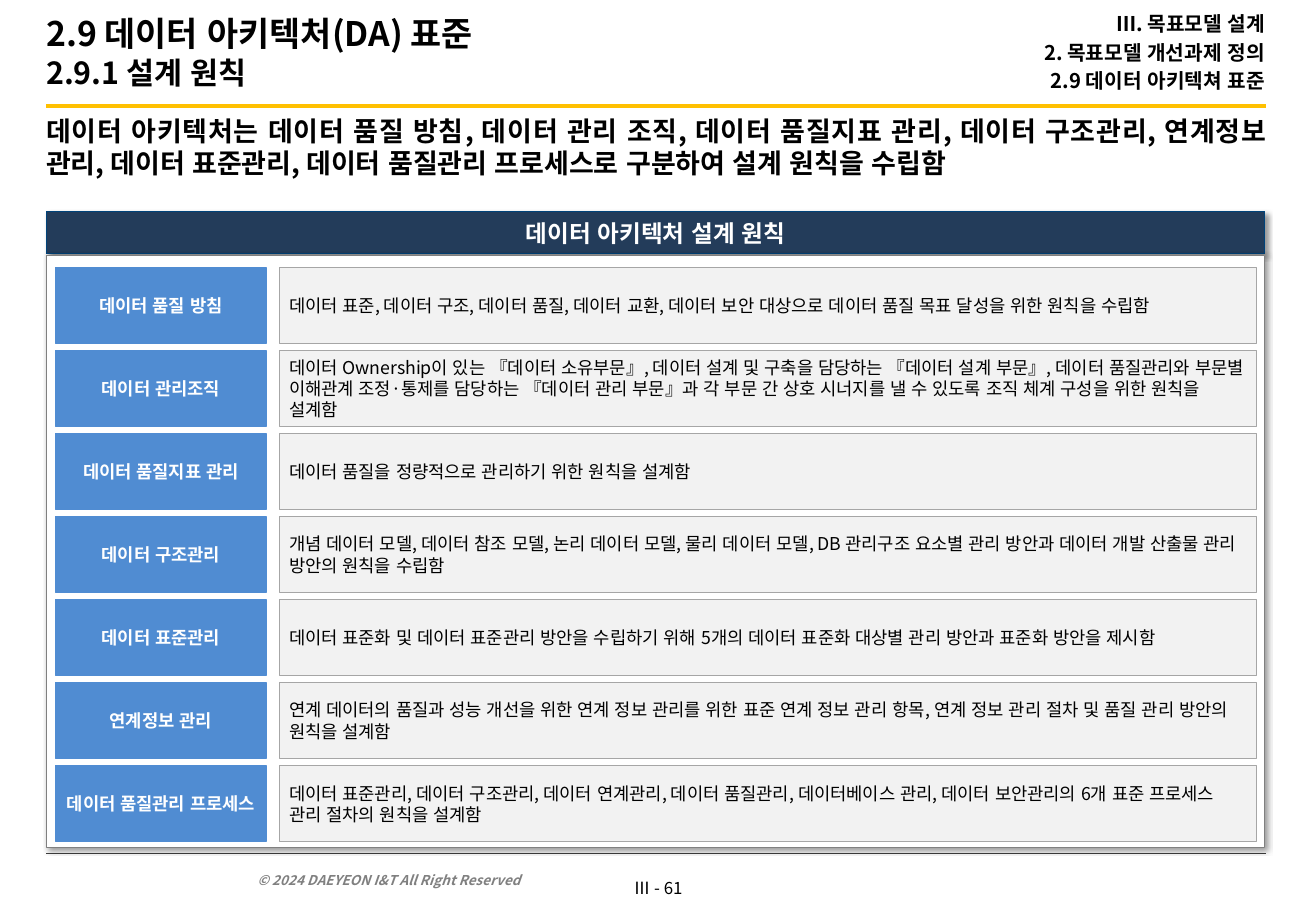
"""Build the slide on data architecture design principles."""
import copy

import lxml.etree
import pptx
import pptx.dml.color
import pptx.enum.lang
import pptx.enum.shapes
import pptx.enum.text
import pptx.oxml.ns
import pptx.util

RGB = pptx.dml.color.RGBColor
ALIGN = pptx.enum.text.PP_ALIGN
ANCHOR = pptx.enum.text.MSO_ANCHOR
Inches = pptx.util.Inches
Pt = pptx.util.Pt
qn = pptx.oxml.ns.qn

BLACK = RGB(0x00, 0x00, 0x00)
WHITE = RGB(0xFF, 0xFF, 0xFF)
NAVY = RGB(0x23, 0x3C, 0x5A)
NAVY_EDGE = RGB(0x00, 0x43, 0x7A)
BLUE = RGB(0x50, 0x8C, 0xD2)
PALE = RGB(0xF2, 0xF2, 0xF2)
SILVER = RGB(0xA6, 0xA6, 0xA6)
GRAY = RGB(0x80, 0x80, 0x80)
CHARCOAL = RGB(0x40, 0x40, 0x40)
AMBER = RGB(0xFF, 0xC0, 0x00)

FONT = "Noto Sans CJK KR"
WIDTH, HEIGHT = 10.83, 7.5
LEFT, RIGHT = 0.38, 10.42
SPAN = RIGHT - LEFT
PANEL_WIDTH = 10.03
ROW_TOP, ROW_PITCH, ROW_HEIGHT = 2.2, 0.6835, 0.63
NAME_COLUMN = (0.46, 1.73)
RULE_COLUMN = (2.3, 8.04)
CELL_INSETS = (0.08, 0.04, 0.08, 0.04)

BREADCRUMB = ["Ⅲ. 목표모델 설계", "2. 목표모델 개선과제 정의", "2.9 데이터 아키텍쳐 표준"]
SUMMARY = (
    "데이터 아키텍처는 데이터 품질 방침, 데이터 관리 조직, 데이터 품질지표 관리, "
    "데이터 구조관리, 연계정보 관리, 데이터 표준관리, 데이터 품질관리 프로세스로 "
    "구분하여 설계 원칙을 수립함"
)
PRINCIPLES = [
    ("데이터 품질 방침",
     "데이터 표준, 데이터 구조, 데이터 품질, 데이터 교환, 데이터 보안 대상으로 "
     "데이터 품질 목표 달성을 위한 원칙을 수립함"),
    ("데이터 관리조직",
     "데이터 Ownership이 있는 『데이터 소유부문』, 데이터 설계 및 구축을 담당하는 "
     "『데이터 설계 부문』, 데이터 품질관리와 부문별 이해관계 조정·통제를 담당하는 "
     "『데이터 관리 부문』과 각 부문 간 상호 시너지를 낼 수 있도록 조직 체계 구성을 "
     "위한 원칙을 설계함"),
    ("데이터 품질지표 관리",
     "데이터 품질을 정량적으로 관리하기 위한 원칙을 설계함"),
    ("데이터 구조관리",
     "개념 데이터 모델, 데이터 참조 모델, 논리 데이터 모델, 물리 데이터 모델, "
     "DB 관리구조 요소별 관리 방안과 데이터 개발 산출물 관리 방안의 원칙을 수립함"),
    ("데이터 표준관리",
     "데이터 표준화 및 데이터 표준관리 방안을 수립하기 위해 5개의 데이터 표준화 "
     "대상별 관리 방안과 표준화 방안을 제시함"),
    ("연계정보 관리",
     "연계 데이터의 품질과 성능 개선을 위한 연계 정보 관리를 위한 표준 연계 정보 "
     "관리 항목, 연계 정보 관리 절차 및 품질 관리 방안의 원칙을 설계함"),
    ("데이터 품질관리 프로세스",
     "데이터 표준관리, 데이터 구조관리, 데이터 연계관리, 데이터 품질관리, "
     "데이터베이스 관리, 데이터 보안관리의 6개 표준 프로세스 관리 절차의 원칙을 설계함"),
]


def add_run(paragraph, text, size, color=BLACK, bold=False, italic=False):
    """Add one formatted run with a matching East Asian font."""
    run = paragraph.add_run()
    run.text = text
    font = run.font
    font.name, font.size, font.bold, font.italic = FONT, Pt(size), bold, italic
    font.color.rgb = color
    font.language_id = pptx.enum.lang.MSO_LANGUAGE_ID.KOREAN
    properties = run._r.get_or_add_rPr()
    lxml.etree.SubElement(properties, qn("a:ea"), typeface=FONT)
    return properties


def prepare_frame(frame, insets, anchor, wrap=True):
    """Set the insets, anchor and wrapping of a text frame."""
    frame.word_wrap = wrap
    frame.auto_size = pptx.enum.text.MSO_AUTO_SIZE.NONE
    frame.vertical_anchor = anchor
    (frame.margin_left, frame.margin_top,
     frame.margin_right, frame.margin_bottom) = map(Inches, insets)


def add_label(slide, place, lines, size, align=ALIGN.LEFT, anchor=ANCHOR.TOP,
              insets=(0, 0, 0, 0), wrap=True, **style):
    """Add a text box with one paragraph per line."""
    frame = slide.shapes.add_textbox(*map(Inches, place)).text_frame
    prepare_frame(frame, insets, anchor, wrap)
    for index, line in enumerate(lines):
        paragraph = frame.add_paragraph() if index else frame.paragraphs[0]
        paragraph.alignment = align
        if index:
            paragraph.space_before = Pt(size * 0.2)
        add_run(paragraph, line, size, **style)


def add_block(slide, place, fill, edge, edge_width, shadow=False):
    """Add a filled and outlined rectangle."""
    block = slide.shapes.add_shape(
        pptx.enum.shapes.MSO_SHAPE.RECTANGLE, *map(Inches, place))
    block.fill.solid()
    block.fill.fore_color.rgb = fill
    block.line.color.rgb = edge
    block.line.width = Pt(edge_width)
    block.shadow.inherit = False
    if shadow:
        effects = block._element.spPr.find(qn("a:effectLst"))
        outer = lxml.etree.SubElement(
            effects, qn("a:outerShdw"), blurRad=str(Pt(3)), dist=str(Pt(2)),
            dir=str(45 * 60000), algn="tl", rotWithShape="0")
        tint = lxml.etree.SubElement(outer, qn("a:srgbClr"), val=str(BLACK))
        lxml.etree.SubElement(tint, qn("a:alpha"), val="40000")
    return block


def fill_block(block, text, size, color, bold, align, insets=CELL_INSETS):
    """Write one paragraph in the middle of a block."""
    prepare_frame(block.text_frame, insets, ANCHOR.MIDDLE)
    paragraph = block.text_frame.paragraphs[0]
    paragraph.alignment = align
    add_run(paragraph, text, size, color, bold)


def add_rule(slide, y, color, width):
    """Add a horizontal rule between the margins."""
    rule = slide.shapes.add_connector(
        pptx.enum.shapes.MSO_CONNECTOR.STRAIGHT,
        *map(Inches, (LEFT, y, RIGHT, y)))
    rule.line.color.rgb = color
    rule.line.width = Pt(width)
    lxml.etree.SubElement(rule._element.spPr, qn("a:effectLst"))


def set_title(slide):
    """Place the two-line title."""
    title = slide.shapes.title
    title.left, title.top, title.width, title.height = map(
        Inches, (LEFT, 0, 8.19, 0.85))
    prepare_frame(title.text_frame, (0, 0.05, 0.1, 0.05), ANCHOR.MIDDLE)
    paragraph = title.text_frame.paragraphs[0]
    paragraph.alignment = ALIGN.LEFT
    heading = add_run(paragraph, "2.9 데이터 아키텍처(DA) 표준", 20, bold=True)
    paragraph.add_line_break()
    paragraph._p.find(qn("a:br")).append(copy.deepcopy(heading))
    add_run(paragraph, "2.9.1 설계 원칙", 18, bold=True)


def add_principles(slide):
    """Add the panel with a name and a rule in each row."""
    header = add_block(slide, (LEFT, 1.74, PANEL_WIDTH, 0.35),
                       NAVY, NAVY_EDGE, 0.5, shadow=True)
    fill_block(header, "데이터 아키텍처 설계 원칙", 14, WHITE, True,
               ALIGN.CENTER, (0.1, 0.05, 0.1, 0.05))
    add_block(slide, (LEFT, 2.1, PANEL_WIDTH, 4.88), WHITE, GRAY, 0.5, shadow=True)
    for row, (name, principle) in enumerate(PRINCIPLES):
        top = ROW_TOP + row * ROW_PITCH
        for (left, width), text, fill, edge, color, bold, align in (
            (NAME_COLUMN, name, BLUE, BLUE, WHITE, True, ALIGN.CENTER),
            (RULE_COLUMN, principle, PALE, SILVER, BLACK, False, ALIGN.LEFT),
        ):
            cell = add_block(slide, (left, top, width, ROW_HEIGHT), fill, edge, 0.75)
            fill_block(cell, text, 10.5, color, bold, align)


def main():
    """Build and save the slide."""
    deck = pptx.Presentation()
    deck.slide_width, deck.slide_height = Inches(WIDTH), Inches(HEIGHT)
    slide = deck.slides.add_slide(deck.slide_layouts[5])
    add_rule(slide, 0.87, AMBER, 2.5)
    add_rule(slide, 7.03, CHARCOAL, 0.5)
    add_label(slide, (5.12, 7.18, 0.59, 0.27), ["Ⅲ - 61"], 10, ALIGN.CENTER,
              insets=(0.06, 0.05, 0.06, 0.05), wrap=False)
    add_label(slide, (2.02, 7.09, 3.02, 0.27),
              ["© 2024 DAEYEON I&T All Right Reserved"], 8, anchor=ANCHOR.BOTTOM,
              insets=(0.1, 0.05, 0.1, 0.05), color=GRAY, bold=True, italic=True)
    set_title(slide)
    add_label(slide, (LEFT, 0.94, SPAN, 0.68), [SUMMARY], 16, ALIGN.JUSTIFY, bold=True)
    add_label(slide, (6.87, 0, 3.54, 0.86), BREADCRUMB, 12, ALIGN.RIGHT,
              ANCHOR.MIDDLE, (0, 0.05, 0, 0.05), bold=True)
    add_principles(slide)
    deck.save("out.pptx")


if __name__ == "__main__":
    main()
